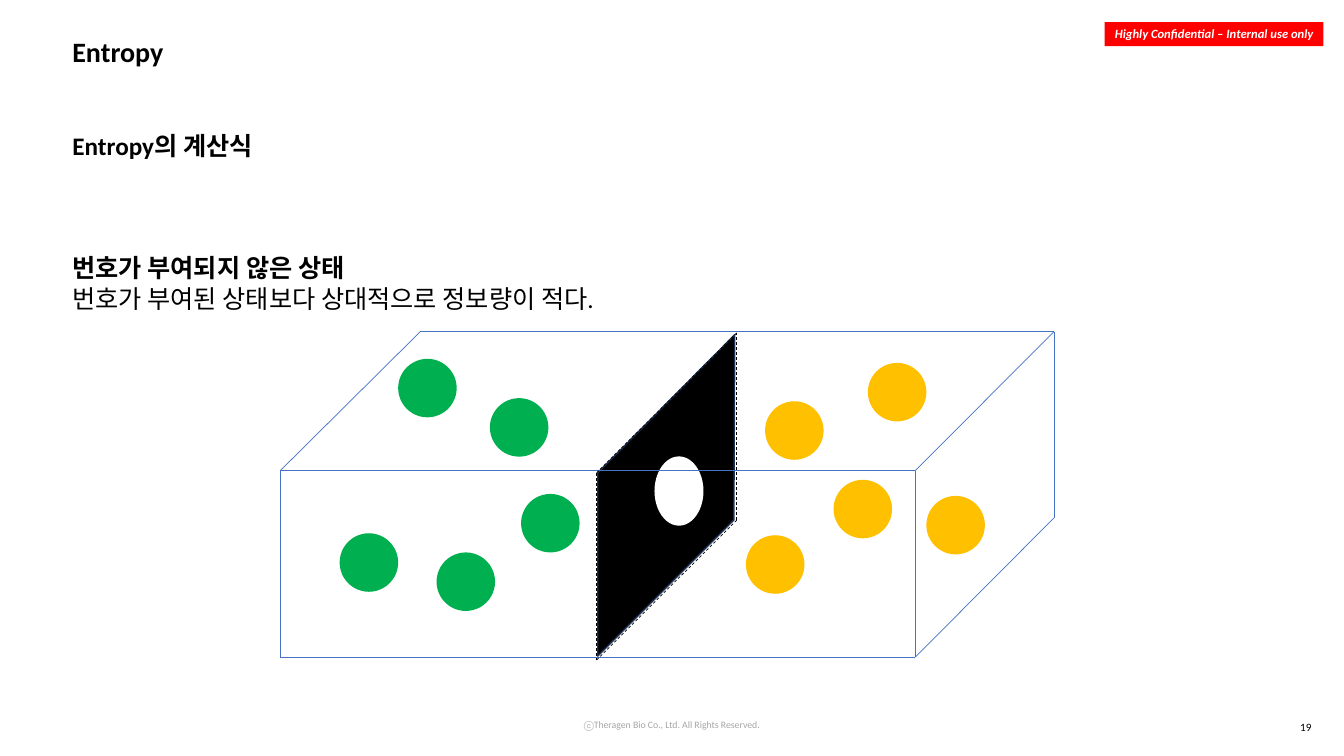
from lxml.etree import SubElement
from pptx import Presentation
from pptx.dml.color import RGBColor
from pptx.enum.dml import MSO_LINE_DASH_STYLE as Dash
from pptx.enum.shapes import MSO_CONNECTOR as Connector, MSO_SHAPE as Shape
from pptx.enum.text import MSO_ANCHOR as Anchor, PP_ALIGN as Align
from pptx.oxml.ns import qn
from pptx.util import Pt

BLACK = RGBColor(0x00, 0x00, 0x00)
WHITE = RGBColor(0xFF, 0xFF, 0xFF)
RED = RGBColor(0xFF, 0x00, 0x00)
GRAY = RGBColor(0xA6, 0xA6, 0xA6)
BLUE = RGBColor(0x44, 0x72, 0xC4)
NAVY = RGBColor(0x1E, 0x32, 0x56)
GREEN = RGBColor(0x00, 0xB0, 0x50)
AMBER = RGBColor(0xFF, 0xC0, 0x00)


class SlideBuilder:
    """Holds the style and the current slide; all lengths are in points."""
    font_name = "Calibri"
    edge_width = 0.5

    def __init__(self, slide):
        self.shapes = slide.shapes

    def text(self, box, paragraphs, color=BLACK, anchor=Anchor.TOP, **layout):
        """Each paragraph is a (wording, font values, paragraph values) triple."""
        frame = self.shapes.add_textbox(*map(Pt, box)).text_frame
        frame.word_wrap = True
        frame.vertical_anchor = anchor
        for index, (wording, font_values, spacing) in enumerate(paragraphs):
            paragraph = frame.add_paragraph() if index else frame.paragraphs[0]
            for name, value in {**layout, **spacing}.items():
                setattr(paragraph, name, value)
            run = paragraph.add_run()
            run.text = wording
            for name, value in {"name": self.font_name, **font_values}.items():
                setattr(run.font, name, value)
            run.font.color.rgb = color

    def solid(self, kind, box, fill):
        shape = self.shapes.add_shape(kind, *map(Pt, box))
        self.paint(shape, fill)
        shape.line.fill.background()

    def polygon(self, corners, fill, line, width):
        points = [(Pt(x), Pt(y)) for x, y in corners]
        outline = self.shapes.build_freeform(*points[0])
        outline.add_line_segments(points[1:], close=True)
        shape = outline.convert_to_shape()
        self.paint(shape, fill)
        shape.line.color.rgb = line
        shape.line.width = Pt(width)

    def paint(self, shape, fill):
        shape.shadow.inherit = False
        shape.fill.solid()
        shape.fill.fore_color.rgb = fill

    def edge(self, start, end, color, dash=None):
        edge = self.shapes.add_connector(
            Connector.STRAIGHT, *map(Pt, (*start, *end)))
        edge.line.color.rgb = color
        for name, value in {"width": Pt(self.edge_width),
                            "dash_style": dash}.items():
            setattr(edge.line, name, value)
        SubElement(edge._element.spPr, qn("a:effectLst"))


def main():
    deck = Presentation()
    deck.slide_width, deck.slide_height = Pt(960), Pt(540)
    builder = SlideBuilder(deck.slides.add_slide(deck.slide_layouts[6]))

    # Confidentiality banner and copyright line
    builder.solid(Shape.RECTANGLE, (789.1, 15.8, 156.2, 17.3), RED)
    builder.text((786.2, 15.1, 162, 18),
                 [("Highly Confidential – Internal use only",
                   {"size": Pt(9), "bold": True, "italic": True}, {})],
                 WHITE, alignment=Align.CENTER)
    builder.text((366.5, 503.3, 226.8, 28.8),
                 [("ⓒTheragen Bio Co., Ltd. All Rights Reserved.",
                   {"size": Pt(7)}, {})],
                 GRAY, Anchor.MIDDLE, alignment=Align.CENTER)

    # Black partition with its hole
    builder.polygon([(524.9, 239), (427, 337.7), (427, 468.7), (524.2, 371.5)],
                    BLACK, NAVY, 1)
    builder.solid(Shape.OVAL, (467.5, 326, 35, 49.5), WHITE)

    # Title, page number and explanation
    heading = {"size": Pt(18), "bold": True}
    builder.text((44.6, 23.8, 723.6, 31.7),
                 [("Entropy", {"size": Pt(20), "bold": True}, {})],
                 line_spacing=0.9)
    builder.text((727.9, 511.2, 216, 18), [("19", {"size": Pt(8)}, {})],
                 alignment=Align.RIGHT)
    builder.text((44.6, 89.3, 871.9, 138.2), [
        ("Entropy의 계산식", heading, {}),
        ("번호가 부여되지 않은 상태", heading, {"space_before": Pt(66)}),
        ("번호가 부여된 상태보다 상대적으로 정보량이 적다.", {"size": Pt(18)}, {}),
    ])

    # Box edges
    front_left, front_right, front_top, front_bottom = 200.2, 653.8, 336.2, 469.4
    back_left, back_right, back_top, back_bottom = 300.2, 752.8, 236.9, 370
    top_left, top_right = (front_left, front_top), (front_right, front_top)
    base_left, base_right = (front_left, front_bottom), (front_right, front_bottom)
    far_left, far_right = (back_left, back_top), (back_right, back_top)
    far_base = (back_right, back_bottom)
    for start, end in [
        (far_left, top_left), (top_left, base_left), (far_left, far_right),
        (far_right, top_right), (top_left, top_right), (top_right, base_right),
        (far_base, base_right), (far_right, far_base), (base_left, base_right),
    ]:
        builder.edge(start, end, BLUE)

    # Dashed partition outline
    rim = [(526.3, 237.8), (426.2, 337.7), (426.2, 471.4), (526.3, 371.5)]
    for start, end in zip(rim, rim[1:] + rim[:1]):
        builder.edge(start, end, BLACK, Dash.DASH)

    # Particles on each side
    diameter = 41.8
    particles = {
        AMBER: [(546.5, 286.6), (619.9, 259.2), (532.8, 382.3),
                (595.4, 342.7), (661.7, 354.2)],
        GREEN: [(284.4, 256.3), (349.9, 284.4), (242.6, 380.9),
                (311.8, 394.6), (372.2, 352.8)],
    }
    for color, corners in particles.items():
        for corner in corners:
            builder.solid(Shape.OVAL, (*corner, diameter, diameter), color)

    deck.save("out.pptx")


if __name__ == "__main__":
    main()
